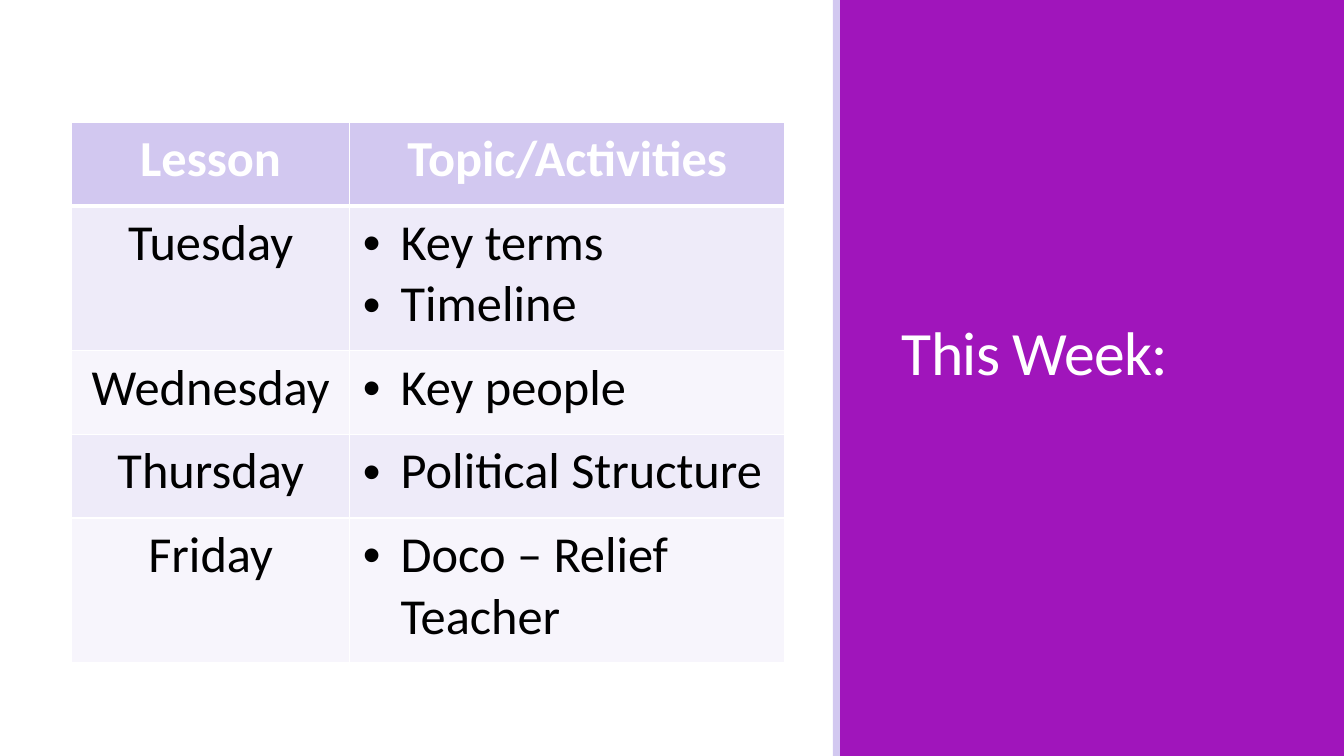
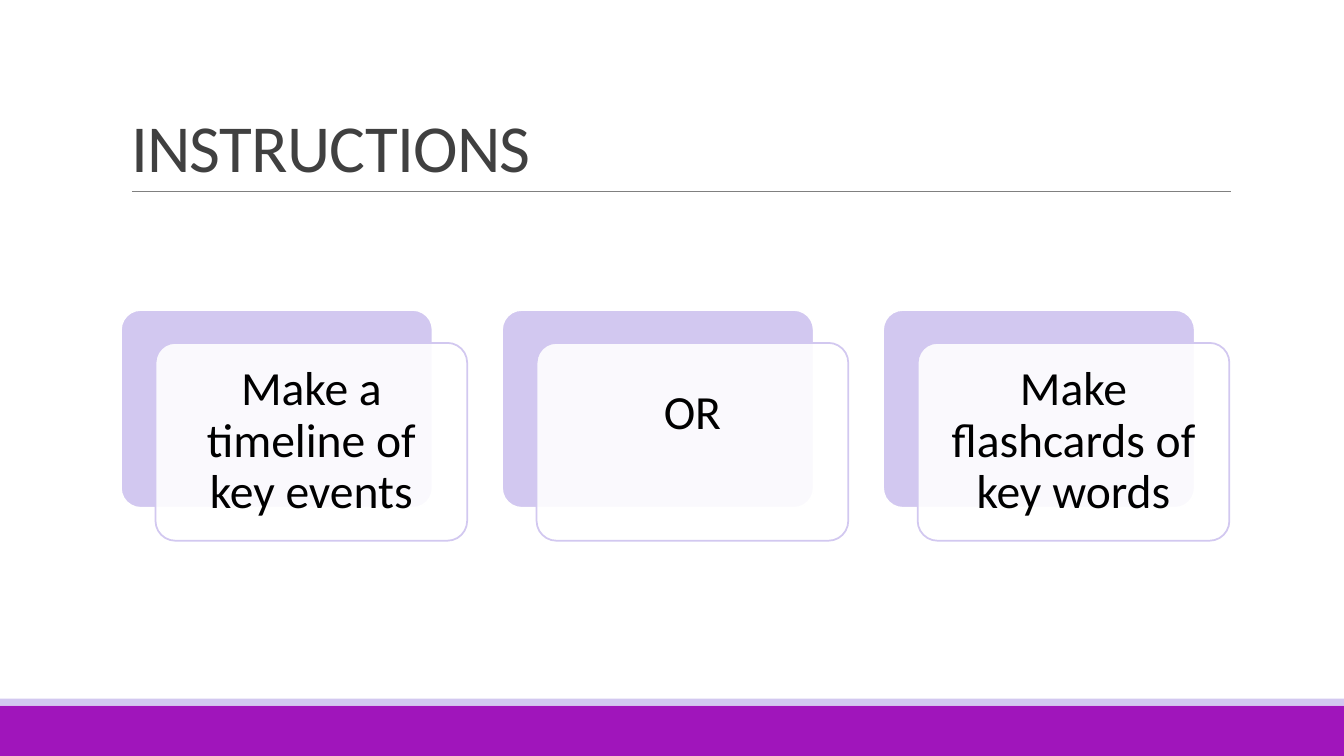
from pptx import Presentation
from pptx.dml.color import RGBColor
from pptx.enum.shapes import MSO_CONNECTOR, MSO_SHAPE
from pptx.enum.text import MSO_ANCHOR, MSO_AUTO_SIZE, PP_ALIGN
from pptx.oxml.ns import qn
from pptx.util import Pt
from lxml.etree import SubElement

FONT = "Calibri"
PURPLE, LILAC, WHITE, BLACK = "A015BB", "D2C8F0", "FFFFFF", "000000"
TITLE_GREY, RULE_GREY = "404040", "808080"
ROW_FILLS = ("EEEBF9", "F7F5FC")
WIDTH, HEIGHT = 960, 540
TITLE_ONLY = 5


def color(hex_code):
    """Turn a hex string into a colour."""
    return RGBColor.from_string(hex_code)


def style_paragraph(paragraph, size, hex_code, bold=False, align=None, spacing=None):
    """Format a paragraph and its runs."""
    paragraph.alignment = align
    paragraph.line_spacing = spacing
    for run in paragraph.runs:
        run.font.name = FONT
        run.font.size = Pt(size)
        run.font.bold = bold
        run.font.color.rgb = color(hex_code)


def set_title(slide, text, box, size, hex_code):
    """Place and format the slide title."""
    title = slide.shapes.title
    title.left, title.top, title.width, title.height = (Pt(value) for value in box)
    frame = title.text_frame
    frame.text = text
    frame.word_wrap = True
    frame.auto_size = MSO_AUTO_SIZE.NONE
    frame.vertical_anchor = MSO_ANCHOR.BOTTOM
    paragraph = frame.paragraphs[0]
    style_paragraph(paragraph, size, hex_code, align=PP_ALIGN.LEFT, spacing=0.85)
    for run in paragraph.runs:
        run._r.get_or_add_rPr().set("spc", "-50")


def add_block(slide, preset, box, fill, line=None):
    """Add a filled preset shape with an optional outline."""
    shape = slide.shapes.add_shape(preset, *(Pt(value) for value in box))
    shape.shadow.inherit = False
    shape.fill.solid()
    shape.fill.fore_color.rgb = color(fill)
    if line:
        shape.line.color.rgb = color(line)
        shape.line.width = Pt(1.25)
    else:
        shape.line.fill.background()
    return shape


def add_band(slide, box, fill):
    """Add a colour band behind the title."""
    band = add_block(slide, MSO_SHAPE.RECTANGLE, box, fill)
    slide.shapes.title._element.addprevious(band._element)


def add_rule(slide, left, right, y):
    """Add the thin line under a title."""
    rule = slide.shapes.add_connector(
        MSO_CONNECTOR.STRAIGHT, Pt(left), Pt(y), Pt(right), Pt(y))
    rule.line.color.rgb = color(RULE_GREY)
    rule.line.width = Pt(0.5)
    SubElement(rule._element.spPr, qn("a:effectLst"))


def set_borders(cell, top, bottom):
    """Draw white borders around a table cell."""
    properties = cell._tc.get_or_add_tcPr()
    for side, width in (("L", 1), ("R", 1), ("T", top), ("B", bottom)):
        line = SubElement(properties, qn(f"a:ln{side}"), w=str(Pt(width)))
        fill = SubElement(line, qn("a:solidFill"))
        SubElement(fill, qn("a:srgbClr"), val=WHITE)


def add_bullet(paragraph):
    """Give a paragraph a hanging round bullet."""
    properties = paragraph._p.get_or_add_pPr()
    properties.set("marL", str(Pt(27)))
    properties.set("indent", str(-Pt(27)))
    SubElement(properties, qn("a:buFont"), typeface="Arial")
    SubElement(properties, qn("a:buChar"), char="•")


def fill_cell(cell, text, row, bulleted):
    """Write and format one table cell."""
    header = row == 0
    set_borders(cell, 3 if row == 1 else 1, 3 if header else 1)
    cell.fill.solid()
    cell.fill.fore_color.rgb = color(LILAC if header else ROW_FILLS[(row - 1) % 2])
    cell.margin_left = cell.margin_right = Pt(9.4)
    cell.margin_top = cell.margin_bottom = Pt(4.6)
    cell.text_frame.text = text
    for paragraph in cell.text_frame.paragraphs:
        if bulleted:
            add_bullet(paragraph)
        style_paragraph(paragraph, 36, WHITE if header else BLACK, header,
                        PP_ALIGN.LEFT if bulleted else PP_ALIGN.CENTER)


def add_schedule(slide, rows, left, top, column_widths, row_heights):
    """Add the lesson table, with bullets in the activities column."""
    table = slide.shapes.add_table(
        len(rows), len(column_widths), Pt(left), Pt(top),
        Pt(sum(column_widths)), Pt(sum(row_heights))).table
    for column, width in zip(table.columns, column_widths):
        column.width = Pt(width)
    for index, (texts, height) in enumerate(zip(rows, row_heights)):
        table.rows[index].height = Pt(height)
        for column, text in enumerate(texts):
            fill_cell(table.cell(index, column), text, index, index > 0 and column == 1)


def add_card(slide, text, left, top, lift=0):
    """Add a lilac card with a translucent text card in front, its text raised by lift."""
    width, height = 222.6, 141.3
    back = add_block(slide, MSO_SHAPE.ROUNDED_RECTANGLE,
                     (left, top, width, height), LILAC, WHITE)
    front = add_block(slide, MSO_SHAPE.ROUNDED_RECTANGLE,
                      (left + 24.7, top + 23.5, width, height), WHITE, LILAC)
    for shape in (back, front):
        shape.adjustments[0] = 0.1
    fill_color = front._element.spPr.find(qn("a:solidFill"))[0]
    SubElement(fill_color, qn("a:alpha"), val="90000")
    frame = front.text_frame
    frame.text = text
    frame.word_wrap = True
    frame.vertical_anchor = MSO_ANCHOR.MIDDLE
    frame.margin_left = frame.margin_right = frame.margin_top = Pt(10)
    frame.margin_bottom = Pt(10 + 2 * lift)
    style_paragraph(frame.paragraphs[0], 34, BLACK, align=PP_ALIGN.CENTER, spacing=0.9)


def build_week(presentation):
    """Build the weekly schedule slide."""
    slide = presentation.slides.add_slide(presentation.slide_layouts[TITLE_ONLY])
    add_band(slide, (600, 0, WIDTH - 600, HEIGHT), PURPLE)
    add_band(slide, (595, 0, 5, HEIGHT), LILAC)
    set_title(slide, "This Week:", (637, 50.4, 288, 230.4), 44, WHITE)
    rows = (
        ("Lesson", "Topic/Activities"),
        ("Tuesday", "Key terms\nTimeline"),
        ("Wednesday", "Key people"),
        ("Thursday", "Political Structure"),
        ("Friday", "Doco – Relief Teacher"),
    )
    add_schedule(slide, rows, 51.2, 87.3, (198.6, 311), (59.7, 103.6, 59.7, 59.7, 103.6))


def build_instructions(presentation):
    """Build the instructions slide."""
    slide = presentation.slides.add_slide(presentation.slide_layouts[TITLE_ONLY])
    add_band(slide, (0, 504, WIDTH, HEIGHT - 504), PURPLE)
    add_band(slide, (0, 499, WIDTH, 5), LILAC)
    set_title(slide, "INSTRUCTIONS", (86.4, 22.5, 792, 114.2), 48, TITLE_GREY)
    add_rule(slide, 94.2, 879, 136.8)
    cards = (("Make a timeline of key events", 0), ("OR", 20),
             ("Make flashcards of key words", 0))
    for index, (text, lift) in enumerate(cards):
        add_card(slide, text, 86.4 + index * 272.2, 221.4, lift)


def main():
    """Build and save the presentation."""
    presentation = Presentation()
    presentation.slide_width, presentation.slide_height = Pt(WIDTH), Pt(HEIGHT)
    build_week(presentation)
    build_instructions(presentation)
    presentation.save("out.pptx")


if __name__ == "__main__":
    main()
